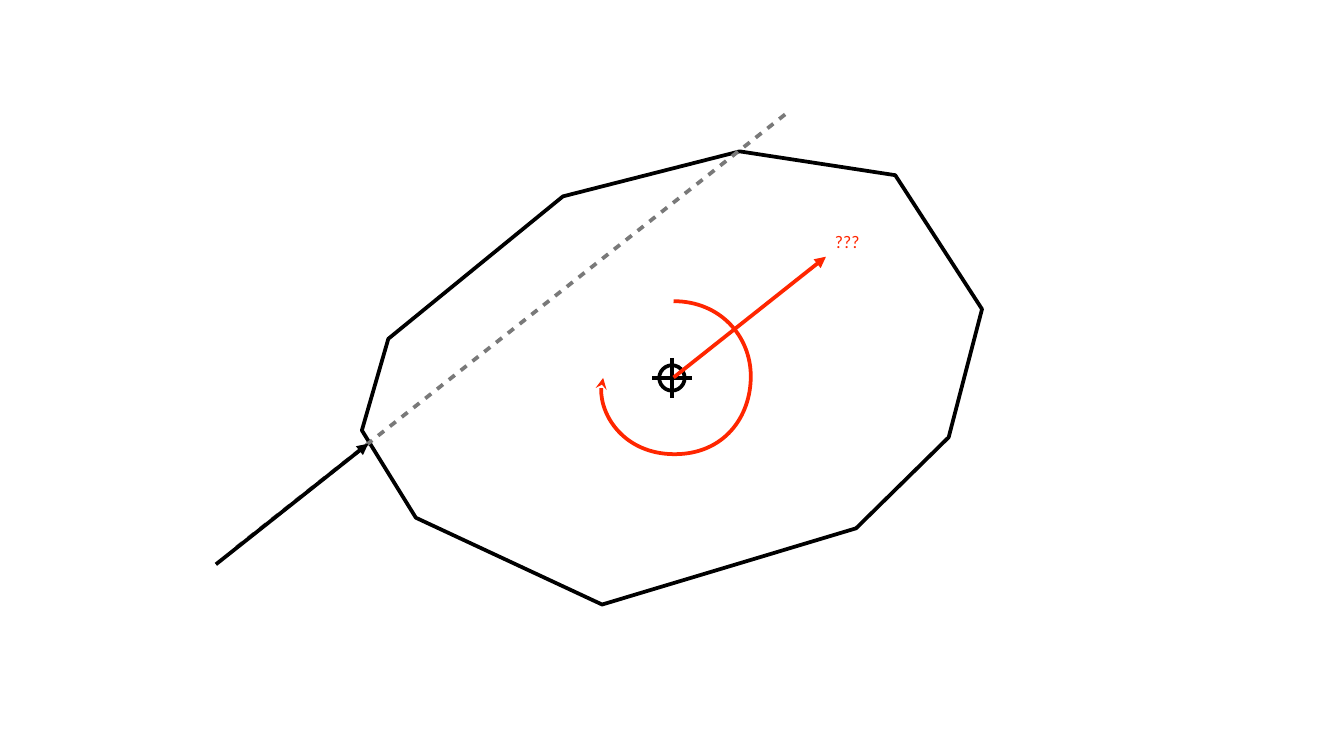
from dataclasses import dataclass

from lxml.etree import SubElement
from pptx import Presentation
from pptx.dml.color import RGBColor
from pptx.enum.shapes import MSO_CONNECTOR, MSO_SHAPE
from pptx.enum.text import MSO_ANCHOR, MSO_AUTO_SIZE
from pptx.oxml.ns import qn
from pptx.util import Cm, Pt


@dataclass(frozen=True)
class Theme:
    ink: RGBColor = RGBColor(0x00, 0x00, 0x00)
    red: RGBColor = RGBColor(0xFF, 0x26, 0x00)
    gray: RGBColor = RGBColor(0x79, 0x79, 0x79)
    font: str = "Calibri"
    size: Pt = Pt(9.5)
    width: Pt = Pt(2)


class Board:
    def __init__(self, slide, theme):
        self.slide = slide
        self.theme = theme

    def pen(self, shape, color, tip=None, dash=False):
        """Set the stroke, with an optional arrow tip or dashes."""
        shape.line.color.rgb = color
        shape.line.width = self.theme.width
        ln = shape.element.spPr.find(qn("a:ln"))
        if dash:
            SubElement(SubElement(ln, qn("a:custDash")), qn("a:ds"),
                       d="200000", sp="200000")
        if tip:
            SubElement(ln, qn("a:tailEnd"), type=tip)

    def line(self, start, end, color, tip=None, dash=False, group=None):
        shapes = (group or self.slide).shapes
        ends = [Cm(v) for v in (*start, *end)]
        item = shapes.add_connector(MSO_CONNECTOR.STRAIGHT, *ends)
        self.pen(item, color, tip, dash)
        SubElement(item.element.spPr, qn("a:effectLst"))

    def outline(self, points, color, close=False, tip=None):
        first, *rest = [(Cm(x), Cm(y)) for x, y in points]
        form = self.slide.shapes.build_freeform(*first)
        form.add_line_segments(rest, close=close)
        shape = form.convert_to_shape()
        shape.shadow.inherit = False
        shape.fill.background()
        self.pen(shape, color, tip)
        return shape

    def curve(self, points, color, tip=None):
        """Draw Bezier arcs: a start, then three points for each arc."""
        shape = self.outline(points, color, tip=tip)
        legs = list(shape.element.iter(qn("a:lnTo")))
        home = legs[0].getparent()
        for trio in zip(*[iter(legs)] * 3):
            arc = SubElement(home, qn("a:cubicBezTo"))
            for leg in trio:
                arc.append(leg[0])
                home.remove(leg)

    def target(self, x, y, ring, arm, color):
        group = self.slide.shapes.add_group_shape()
        oval = group.shapes.add_shape(
            MSO_SHAPE.OVAL, Cm(x - ring), Cm(y - ring), Cm(2 * ring), Cm(2 * ring))
        oval.shadow.inherit = False
        oval.fill.background()
        self.pen(oval, color)
        self.line((x, y - arm), (x, y + arm), color, group=group)
        self.line((x + arm, y), (x - arm, y), color, group=group)

    def label(self, text, left, top, wide, high, color):
        box = self.slide.shapes.add_textbox(Cm(left), Cm(top), Cm(wide), Cm(high))
        frame = box.text_frame
        frame.word_wrap = False
        frame.auto_size = MSO_AUTO_SIZE.SHAPE_TO_FIT_TEXT
        frame.vertical_anchor = MSO_ANCHOR.MIDDLE
        frame.margin_left = frame.margin_right = Cm(0.08)
        frame.margin_top = frame.margin_bottom = Cm(0.08)
        para = frame.paragraphs[0]
        para.text = text
        para.font.name = self.theme.font
        para.font.size = self.theme.size
        para.font.color.rgb = color


def main():
    deck = Presentation()
    deck.slide_width, deck.slide_height = Cm(25.4), Cm(14.28)
    theme = Theme()
    board = Board(deck.slides.add_slide(deck.slide_layouts[6]), theme)

    # Rigid body
    body = [(7.34, 6.4), (10.64, 3.71), (13.98, 2.86), (16.92, 3.31), (18.56, 5.84),
            (17.93, 8.26), (16.18, 9.98), (11.38, 11.42), (7.86, 9.78), (6.84, 8.13)]
    board.outline(body, theme.ink, close=True)

    # Centre of mass
    board.target(12.7, 7.14, 0.24, 0.38, theme.ink)

    # Spin
    spin = [(12.73, 5.69),
            (13.61, 5.69), (14.19, 6.35), (14.19, 7.11),
            (14.19, 7.87), (13.69, 8.58), (12.75, 8.58),
            (11.81, 8.58), (11.2, 7.67), (11.4, 7.14)]
    board.curve(spin, theme.red, tip="stealth")

    # Line of action, then two equal arrows: the push and its effect
    board.line((4.47, 10.34), (14.89, 2.12), theme.gray, dash=True)
    push = (2.88, -2.28)
    for (x, y), color in (((12.73, 7.13), theme.red), ((4.08, 10.66), theme.ink)):
        board.line((x, y), (x + push[0], y + push[1]), color, tip="triangle")

    # Unknown effect
    board.label("???", 15.7, 4.29, 0.68, 0.56, theme.red)

    deck.save("out.pptx")


if __name__ == "__main__":
    main()
